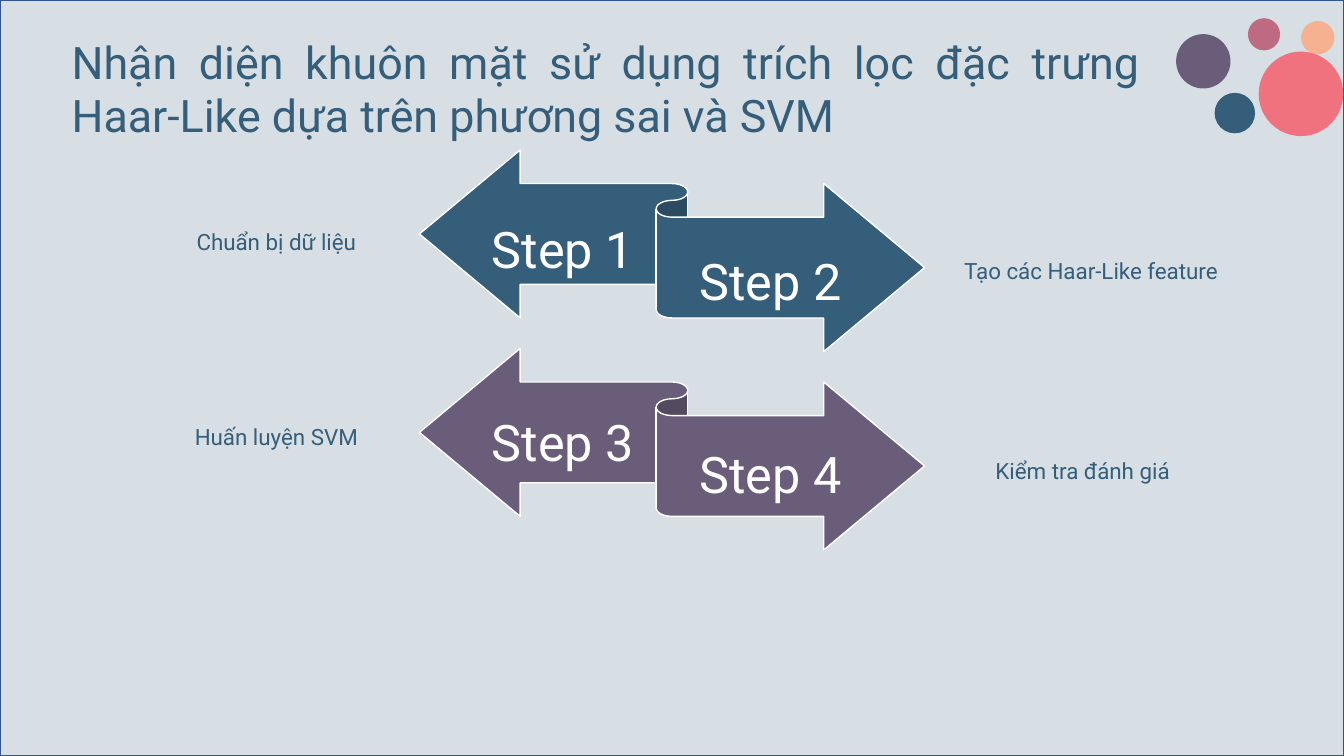
from dataclasses import dataclass

from pptx import Presentation
from pptx.dml.color import RGBColor
from pptx.enum.shapes import MSO_SHAPE
from pptx.enum.text import MSO_ANCHOR, MSO_AUTO_SIZE, PP_ALIGN
from pptx.util import Cm, Pt

RECTANGLE, OVAL, RIBBON = MSO_SHAPE.RECTANGLE, MSO_SHAPE.OVAL, MSO_SHAPE.LEFT_RIGHT_RIBBON
TOP, MIDDLE = MSO_ANCHOR.TOP, MSO_ANCHOR.MIDDLE
CENTER, JUSTIFY = PP_ALIGN.CENTER, PP_ALIGN.JUSTIFY
NO_AUTOFIT = MSO_AUTO_SIZE.NONE
TITLE_ONLY = 5


@dataclass(frozen=True)
class Theme:
    font: str = "Roboto"
    title_size: int = 32
    step_size: int = 36
    caption_size: int = 16
    backdrop: str = "D7DFE4"
    border: str = "325491"
    white: str = "FFFFFF"
    blue: str = "355E7A"
    purple: str = "6A5D79"
    peach: str = "F6B190"
    coral: str = "F0727E"
    rose: str = "BE6B82"


theme = Theme()


def add_filled(shapes, preset, box, fill, line=None):
    """Add a flat preset shape; box is left, top, width, height in cm."""
    shape = shapes.add_shape(preset, *map(Cm, box))
    shape.shadow.inherit = False
    shape.fill.solid()
    shape.fill.fore_color.rgb = RGBColor.from_string(fill)
    if line:
        shape.line.color.rgb = RGBColor.from_string(line)
        shape.line.width = Pt(1)
    else:
        shape.line.fill.background()
    return shape


def write(holder, text, size, color, align, anchor=TOP):
    """Fill a text holder with one styled paragraph and return the paragraph."""
    frame = holder.text_frame
    frame.word_wrap = True
    frame.auto_size = NO_AUTOFIT
    frame.vertical_anchor = anchor
    paragraph = frame.paragraphs[0]
    paragraph.text = text
    paragraph.alignment = align
    paragraph.font.name = theme.font
    paragraph.font.size = Pt(size)
    paragraph.font.color.rgb = RGBColor.from_string(color)
    return paragraph


prs = Presentation()
prs.slide_width, prs.slide_height = Cm(33.87), Cm(19.05)
slide = prs.slides.add_slide(prs.slide_layouts[TITLE_ONLY])

title = slide.shapes.title
title.left, title.top, title.width, title.height = map(Cm, (1.55, 0.74, 27.99, 3))
write(title, "Nhận diện khuôn mặt sử dụng trích lọc đặc trưng \v"
      "Haar-Like dựa trên phương sai và SVM", theme.title_size, theme.blue, JUSTIFY)

backdrop = add_filled(slide.shapes, RECTANGLE, (0, 0, 33.87, 19.05),
                      theme.backdrop, theme.border)
title.element.addprevious(backdrop.element)  # behind the title

# Two ribbons, each carrying a left and a right step
RIBBON_PITCH, STEP_PITCH = 5, 4.88
for row, ribbon_color in enumerate((theme.blue, theme.purple)):
    ribbon_group = slide.shapes.add_group_shape().shapes
    add_filled(ribbon_group, RIBBON, (10.57, 3.78 + row * RIBBON_PITCH, 12.73, 5.08),
               ribbon_color, theme.white)
    for side, (left, top, width) in enumerate(((12.09, 5.11, 4.19), (16.94, 5.92, 4.95))):
        step = ribbon_group.add_textbox(
            Cm(left), Cm(top + row * STEP_PITCH), Cm(width), Cm(2.49))
        step_text = write(step, f"Step {2 * row + side + 1}", theme.step_size,
                          theme.white, CENTER, MIDDLE)
        step_text.line_spacing = 0.9
        step.text_frame.margin_left = step.text_frame.margin_right = 0
        step.text_frame.margin_top, step.text_frame.margin_bottom = Cm(0.36), Cm(0.38)

# Corner circles: left, top, diameter
for left, top, diameter, circle_color in (
    (32.79, 0.53, 0.84, theme.peach),
    (31.72, 1.3, 2.13, theme.coral),
    (29.64, 0.86, 1.37, theme.purple),
    (31.45, 0.46, 0.81, theme.rose),
    (30.61, 2.34, 1.02, theme.blue),
):
    add_filled(slide.shapes, OVAL, (left, top, diameter, diameter), circle_color)

for text, box in (
    ("Chuẩn bị dữ liệu", (3.94, 5.54, 6.05, 1.17)),
    ("Tạo các Haar-Like feature", (23.85, 6.27, 7.29, 1.3)),
    ("Huấn luyện SVM", (3.94, 10.46, 6.05, 1.17)),
    ("Kiểm tra đánh giá", (24.26, 11.3, 6.05, 1.3)),
):
    caption = slide.shapes.add_textbox(*map(Cm, box))
    caption_text = write(caption, text, theme.caption_size, theme.blue, CENTER)
    caption_text.line_spacing = Pt(21.6)

prs.save("out.pptx")
